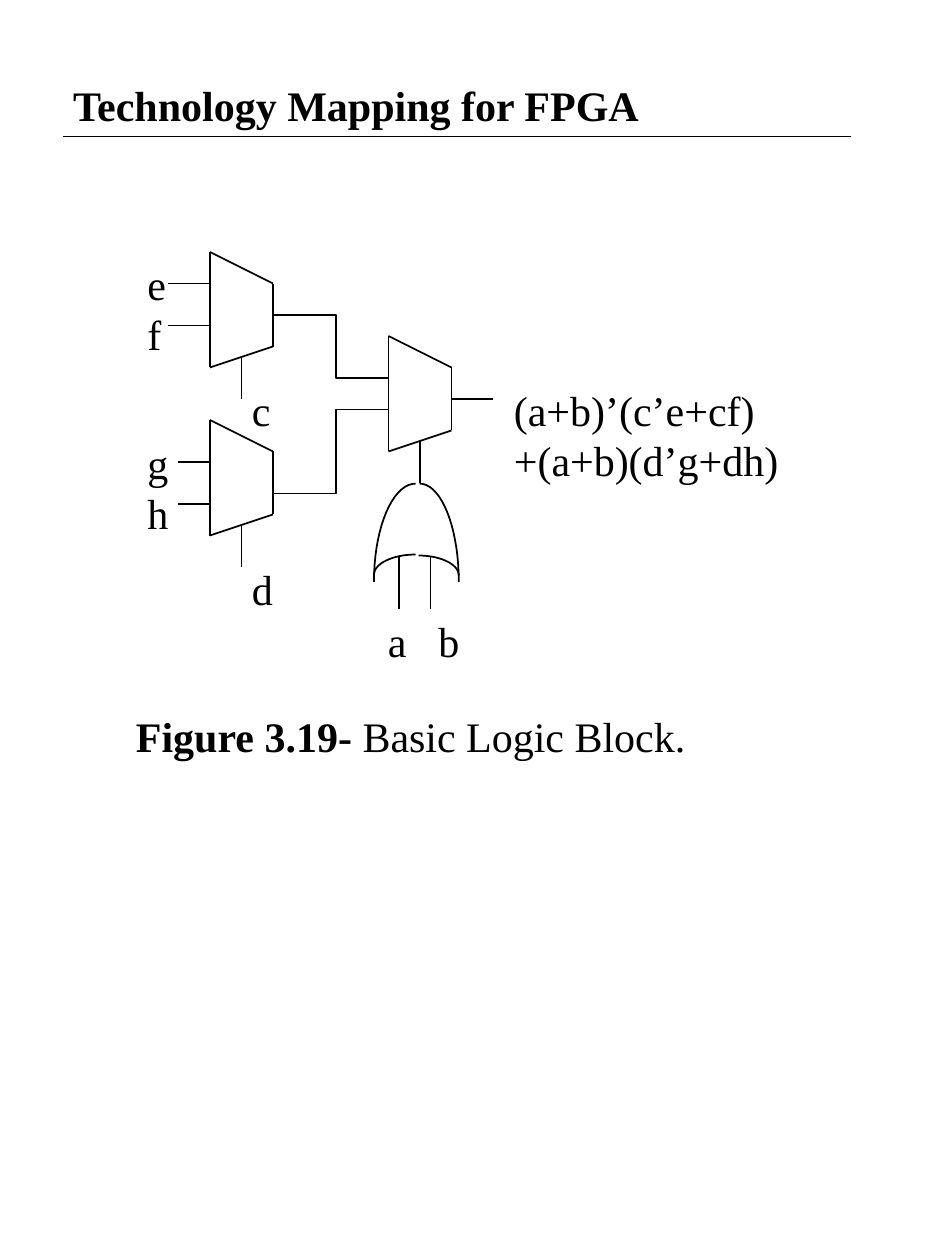
"""Build the slide on a logic block with its three muxes and OR gate."""
import math

import pptx
import pptx.dml.color
import pptx.enum.shapes
import pptx.enum.text
import pptx.oxml.ns
import pptx.util
from lxml import etree

Cm = pptx.util.Cm
BLACK = pptx.dml.color.RGBColor(0, 0, 0)
FONT = "Times New Roman"
UNIT = 2.54 / 12

deck = pptx.Presentation()
deck.slide_width = Cm(19.05)
deck.slide_height = Cm(25.4)
slide = deck.slides.add_slide(deck.slide_layouts[5])
shapes = slide.shapes


def grid(*steps):
    return [Cm(step * UNIT) for step in steps]


def write(para, text, bold=False):
    para.alignment = pptx.enum.text.PP_ALIGN.LEFT
    run = para.add_run()
    run.text = text
    run.font.name = FONT
    run.font.size = pptx.util.Pt(24)
    run.font.bold = bold
    run.font.color.rgb = BLACK


title = shapes.title
title.left, title.top, title.width, title.height = Cm(1.22), Cm(0), Cm(16.2), Cm(4.24)
frame = title.text_frame
frame.vertical_anchor = pptx.enum.text.MSO_ANCHOR.MIDDLE
frame.auto_size = pptx.enum.text.MSO_AUTO_SIZE.NONE
write(frame.paragraphs[0], "Technology Mapping for FPGA", True)

rule = (6, 13, 81, 13)
pins = [
    (16, 27, 20, 27), (16, 31, 20, 31), (17, 44, 20, 44), (17, 48, 20, 48),
    (43, 38, 47, 38), (38, 53, 38, 58), (41, 53, 41, 58),
]
sides = [(0, 0, 0, 11), (6, 3, 6, 9), (0, 0, 6, 3), (0, 11, 6, 9), (3, 10, 3, 14)]
muxes = [(20, 24), (20, 40), (37, 32)]
lines = [rule] + pins
for x, y in muxes:
    lines += [(x + a, y + b, x + c, y + d) for a, b, c, d in sides]
for ends in lines:
    line = shapes.add_connector(pptx.enum.shapes.MSO_CONNECTOR.STRAIGHT, *grid(*ends))
    line.line.color.rgb = BLACK
    line.line.width = pptx.util.Pt(1)
    etree.SubElement(line._element.spPr, pptx.oxml.ns.qn("a:effectLst"))

wires = [
    [(26, 30), (32, 30), (32, 36), (37, 36)],
    [(26, 47), (32, 47), (32, 39), (37, 39)],
]
tracks = [[grid(*point) for point in wire] for wire in wires]
turns = [math.radians(step * 5) for step in range(19)]
for mid, wide, base, high in [
    (8.38, -0.84, 11.73, 1.98), (8.46, 0.79, 11.73, 1.98),
    (8.38, -0.84, 11.59, 0.41), (8.44, 0.81, 11.6, 0.4),
]:
    tracks.append([
        (Cm(mid + wide * math.cos(turn)), Cm(base - high * math.sin(turn)))
        for turn in turns
    ])
for track in tracks:
    pen = shapes.build_freeform(*track[0], scale=1.0)
    pen.add_line_segments(track[1:], close=False)
    curve = pen.convert_to_shape()
    curve.shadow.inherit = False
    curve.fill.background()
    curve.line.color.rgb = BLACK
    curve.line.width = pptx.util.Pt(1)

labels = [
    (2.72, 5.08, 0.89, 2.29, [["e"], ["f"]]),
    (2.72, 8.69, 0.94, 2.29, [["g"], ["h"]]),
    (4.83, 7.62, 0.89, 1.27, [["c"]]),
    (4.83, 11.23, 0.94, 1.27, [["d"]]),
    (7.57, 12.29, 1.96, 1.27, [["a\tb"]]),
    (10.11, 7.62, 5.84, 2.29, [["(a+b)’(c’e+cf)"], ["+(a+b)(d’g+dh)"]]),
    (2.49, 14.2, 11.66, 1.27, [["Figure 3.19-", " Basic Logic Block."]]),
]
for left, top, width, height, rows in labels:
    frame = shapes.add_textbox(Cm(left), Cm(top), Cm(width), Cm(height)).text_frame
    frame.word_wrap = False
    for index, row in enumerate(rows):
        para = frame.add_paragraph() if index else frame.paragraphs[0]
        if "\t" in row[0]:
            tabs = etree.SubElement(para._p.get_or_add_pPr(), pptx.oxml.ns.qn("a:tabLst"))
            etree.SubElement(tabs, pptx.oxml.ns.qn("a:tab"), pos=str(Cm(1.02)), algn="l")
        for text in row:
            write(para, text, text.startswith("Figure"))

deck.save("out.pptx")
